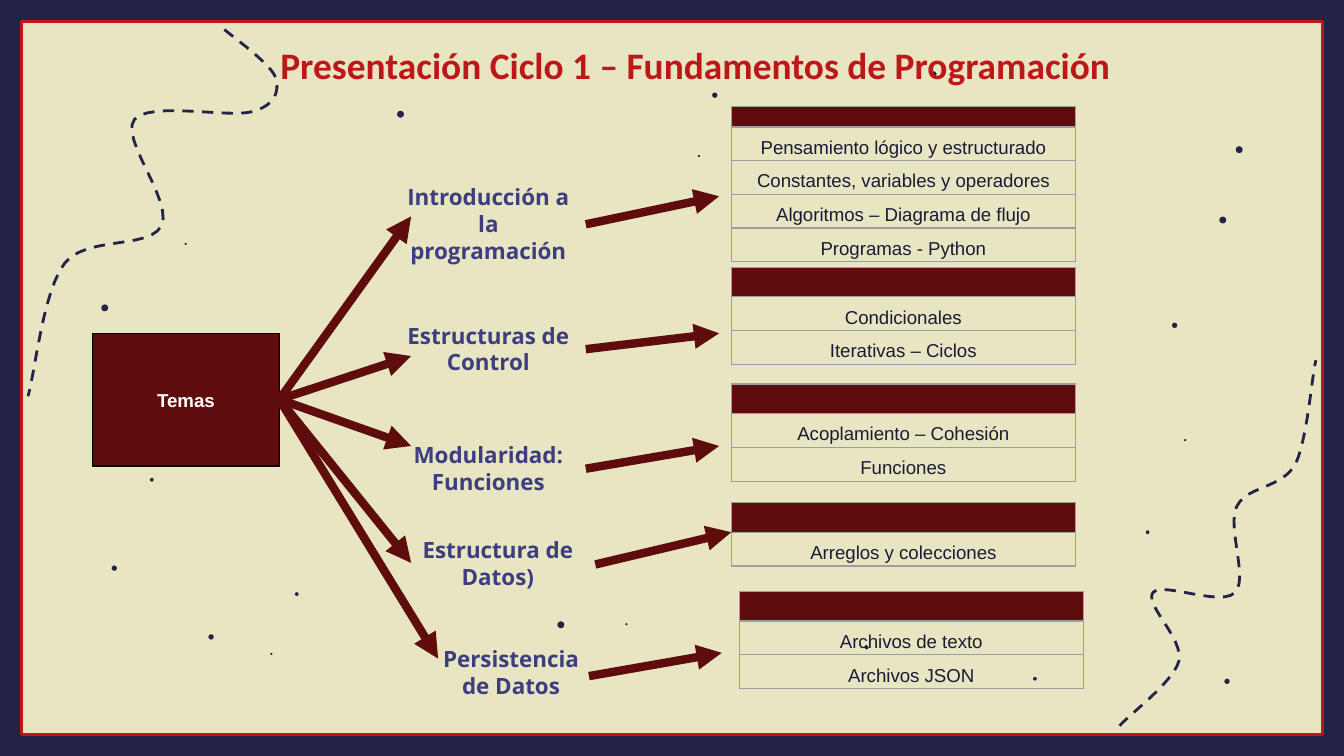
from lxml import etree
from pptx import Presentation
from pptx.dml.color import RGBColor
from pptx.enum.dml import MSO_LINE
from pptx.enum.shapes import MSO_CONNECTOR, MSO_SHAPE
from pptx.enum.text import MSO_ANCHOR, PP_ALIGN
from pptx.oxml.ns import qn
from pptx.util import Cm, Pt

RECT, OVAL = MSO_SHAPE.RECTANGLE, MSO_SHAPE.OVAL
LINE, DASH = MSO_CONNECTOR.STRAIGHT, MSO_LINE.DASH
MID, BOTTOM, CENTER = MSO_ANCHOR.MIDDLE, MSO_ANCHOR.BOTTOM, PP_ALIGN.CENTER

CREAM = RGBColor(0xE8, 0xE5, 0xC3)
NAVY = RGBColor(0x23, 0x23, 0x47)
RED = RGBColor(0xBD, 0x17, 0x17)
WINE = RGBColor(0x5E, 0x0C, 0x0C)
VIOLET = RGBColor(0x3D, 0x3D, 0x7F)
INK = RGBColor(0x1A, 0x1A, 0x35)
WHITE = RGBColor(0xFF, 0xFF, 0xFF)
BLACK = RGBColor(0, 0, 0)
GRAY = RGBColor(0x9E, 0x9E, 0x9E)

WIDTH, HEIGHT, EDGE = 25.4, 14.29, 0.41
HUB = (5.28, 7.55)
TOPIC_W, TOPIC_H = 3.68, 1.04
TABLE_W, ROW_H = 6.5, 0.59

TOPICS = [
    ("Introducción a la programación", (7.39, 3.71), (7.77, 4.09),
     (11.07, 4.24), (13.59, 3.71), (13.82, 2.01), 0.39,
     ["Pensamiento lógico y estructurado", "Constantes, variables y operadores",
      "Algoritmos – Diagrama de flujo", "Programas - Python"]),
    ("Estructuras de Control", (7.39, 6.07), (7.77, 6.73),
     (11.07, 6.6), (13.59, 6.3), (13.82, 5.05), 0.56,
     ["Condicionales", "Iterativas – Ciclos"]),
    ("Modularidad: Funciones", (7.39, 8.33), (7.77, 8.43),
     (11.07, 8.86), (13.59, 8.43), (13.82, 7.26), 0.56,
     ["Acoplamiento – Cohesión", "Funciones"]),
    ("Estructura de Datos)", (7.57, 10.13), (7.77, 10.64),
     (11.25, 10.67), (13.82, 10.06), (13.82, 9.5), 0.56,
     ["Arreglos y colecciones"]),
    ("Persistencia de Datos", (7.82, 12.19), (8.28, 12.45),
     (11.13, 12.78), (13.64, 12.34), (13.97, 11.18), 0.56,
     ["Archivos de texto", "Archivos JSON"]),
]

TRAILS = [
    [(4.24, 0.56), (4.42, 0.71), (5.13, 1.22), (5.21, 1.47),
     (5.28, 1.73), (5.21, 1.98), (4.78, 2.11),
     (4.32, 2.24), (2.84, 1.91), (2.54, 2.26),
     (2.26, 2.62), (3.28, 3.81), (3.05, 4.27),
     (2.82, 4.72), (1.63, 4.45), (1.22, 4.98),
     (0.81, 5.51), (0.66, 7.06), (0.53, 7.49)],
    [(21.16, 13.72), (21.34, 13.51), (22.17, 12.9), (22.28, 12.5),
     (22.38, 12.07), (21.62, 11.43), (21.79, 11.2),
     (21.97, 10.99), (23.09, 11.48), (23.34, 11.2),
     (23.6, 10.95), (23.19, 9.98), (23.37, 9.58),
     (23.57, 9.17), (24.23, 9.25), (24.49, 8.76),
     (24.71, 8.28), (24.79, 7.14), (24.87, 6.81)],
]

DOTS = {
    0.13: [(10.6, 11.81), (7.57, 2.16), (1.98, 5.82), (23.42, 2.83), (23.11, 4.16)],
    0.1: [(13.51, 1.8), (23.19, 12.88), (22.2, 6.15), (17.65, 1.4),
          (2.16, 10.74), (3.99, 12.04)],
    0.07: [(2.87, 9.07), (16.38, 12.24), (21.69, 10.06), (19.56, 12.83), (5.61, 11.23)],
    0.04: [(11.84, 11.8), (13.21, 2.95), (22.4, 8.32), (3.51, 4.61), (5.13, 12.36)],
}


def put_text(frame, text, size=10, font="Arial", color=INK, bold=False, space=None):
    para = frame.paragraphs[0]
    para.alignment = CENTER
    para.line_spacing = space
    run = para.add_run()
    run.text = text
    run.font.size = Pt(size)
    run.font.name = font
    run.font.bold = bold
    run.font.color.rgb = color


def paint(shape, fill=None, line=None, width=0.75):
    shape.shadow.inherit = False
    if fill is None:
        shape.fill.background()
    else:
        shape.fill.solid()
        shape.fill.fore_color.rgb = fill
    if line is None:
        shape.line.fill.background()
    else:
        shape.line.color.rgb = line
        shape.line.width = Pt(width)


def add_form(slide, kind, box, **style):
    shape = slide.shapes.add_shape(kind, *map(Cm, box))
    paint(shape, **style)
    return shape


def add_label(slide, text, box, anchor=MID, **style):
    frame = slide.shapes.add_textbox(*map(Cm, box)).text_frame
    frame.word_wrap = True
    frame.vertical_anchor = anchor
    frame.margin_left = frame.margin_right = Cm(0.25)
    frame.margin_top = frame.margin_bottom = Cm(0.25)
    put_text(frame, text, bold=True, **style)


def add_arrow(slide, start, end):
    arrow = slide.shapes.add_connector(LINE, *map(Cm, start + end))
    arrow.line.color.rgb = WINE
    arrow.line.width = Pt(4.5)
    etree.SubElement(arrow.line._get_or_add_ln(), qn("a:tailEnd"), type="triangle")
    etree.SubElement(arrow._element.spPr, qn("a:effectLst"))


def add_trail(slide, knots, steps=12):
    points = [knots[0]]
    for i in range(0, len(knots) - 1, 3):
        for step in range(1, steps + 1):
            t = step / steps
            parts = ((1 - t) ** 3, 3 * t * (1 - t) ** 2, 3 * t * t * (1 - t), t ** 3)
            points.append(tuple(sum(w * knot[axis] for w, knot in zip(parts, knots[i:i + 4]))
                                for axis in (0, 1)))
    spots = [(Cm(x), Cm(y)) for x, y in points]
    path = slide.shapes.build_freeform(*spots[0])
    path.add_line_segments(spots[1:], close=False)
    shape = path.convert_to_shape()
    paint(shape, line=NAVY, width=1.5)
    shape.line.dash_style = DASH


def add_borders(cell):
    props = cell._tc.get_or_add_tcPr()
    for spot, side in enumerate(("lnL", "lnR", "lnT", "lnB")):
        edge = etree.Element(qn("a:" + side), w=str(Pt(0.75)))
        fill = etree.SubElement(edge, qn("a:solidFill"))
        etree.SubElement(fill, qn("a:srgbClr"), val=str(GRAY))
        props.insert(spot, edge)


def add_list(slide, spot, head, items):
    size = (TABLE_W, head + ROW_H * len(items))
    table = slide.shapes.add_table(len(items) + 1, 1, *map(Cm, spot + size)).table
    table.first_row = table.horz_banding = False
    for i, text in enumerate([""] + items):
        table.rows[i].height = Cm(ROW_H if i else head)
        cell = table.cell(i, 0)
        cell.margin_left = cell.margin_right = Cm(0.18)
        cell.margin_top = cell.margin_bottom = 0
        if text:
            cell.fill.background()
            put_text(cell.text_frame, text, space=1.5)
        else:
            cell.fill.solid()
            cell.fill.fore_color.rgb = WINE
            end = cell.text_frame.paragraphs[0]._p.get_or_add_endParaRPr()
            end.set("sz", "800")
        add_borders(cell)


def add_decor(slide):
    bars = [(0, 0, WIDTH, EDGE), (0, HEIGHT - EDGE, WIDTH, EDGE),
            (0, 0, EDGE, HEIGHT), (WIDTH - EDGE, 0, EDGE, HEIGHT)]
    for bar in bars:
        add_form(slide, RECT, bar, fill=NAVY)
    inner = (EDGE, EDGE, WIDTH - 2 * EDGE, HEIGHT - 2 * EDGE)
    add_form(slide, RECT, inner, line=RED, width=1.5)
    for knots in TRAILS:
        add_trail(slide, knots)
    for size, spots in DOTS.items():
        for x, y in spots:
            add_form(slide, OVAL, (x - size / 2, y - size / 2, size, size), fill=NAVY)


def main():
    deck = Presentation()
    deck.slide_width, deck.slide_height = Cm(WIDTH), Cm(HEIGHT)
    slide = deck.slides.add_slide(deck.slide_layouts[6])
    slide.background.fill.solid()
    slide.background.fill.fore_color.rgb = CREAM
    add_decor(slide)
    hub = add_form(slide, RECT, (1.75, 6.3, 3.53, 2.51), fill=WINE, line=BLACK)
    hub.text_frame.vertical_anchor = MID
    put_text(hub.text_frame, "Temas", color=WHITE, bold=True)
    add_label(slide, "Presentación Ciclo 1 – Fundamentos de Programación",
              (2.44, 0.2, 21.41, 1.7), anchor=BOTTOM, size=20, font="Calibri", color=RED)
    for name, spot, tip, start, end, corner, head, items in TOPICS:
        add_arrow(slide, HUB, tip)
        add_label(slide, name, spot + (TOPIC_W, TOPIC_H),
                  size=12, font="Open Sans", color=VIOLET)
        add_list(slide, corner, head, items)
        add_arrow(slide, start, end)
    deck.save("out.pptx")


if __name__ == "__main__":
    main()
